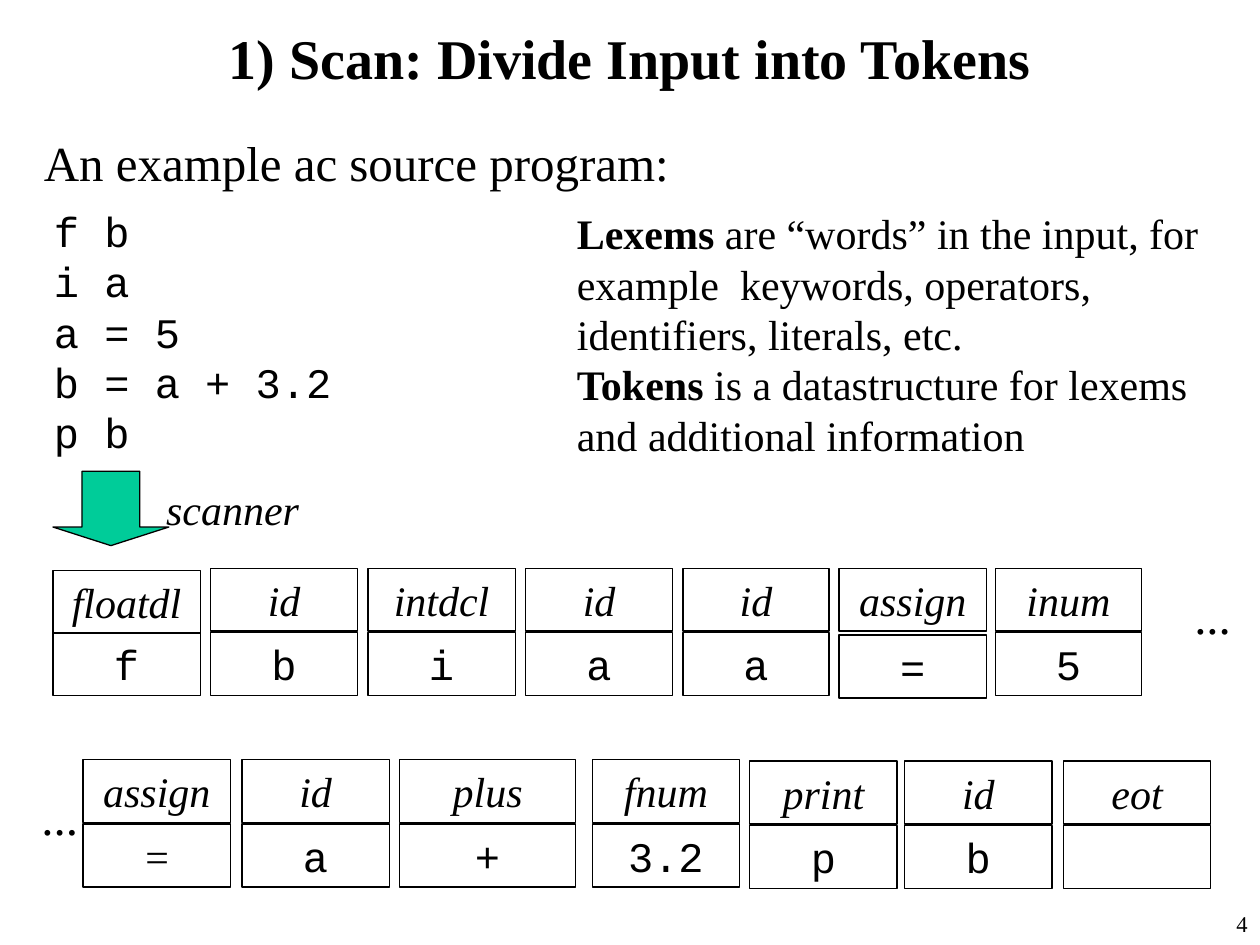
from pptx import Presentation
from pptx.dml.color import RGBColor
from pptx.enum.shapes import MSO_SHAPE
from pptx.enum.text import MSO_ANCHOR, PP_ALIGN
from pptx.util import Inches, Pt

SERIF = "Times New Roman"
MONO = "Courier New"
BLACK = "000000"


def color(value):
    return RGBColor.from_string(value)


def write(shape, text, size=24, font=SERIF, bold=False, italic=False, bold_lead=False,
          align=PP_ALIGN.LEFT, anchor=MSO_ANCHOR.TOP, wrap=True):
    """Write one paragraph per line; bold_lead makes each first word bold."""
    frame = shape.text_frame
    frame.word_wrap = wrap
    frame.vertical_anchor = anchor
    for index, line in enumerate(text.split("\n")):
        paragraph = frame.paragraphs[0] if index == 0 else frame.add_paragraph()
        paragraph.alignment = align
        pieces = [(line, bold)]
        if bold_lead:
            lead, space, rest = line.partition(" ")
            pieces = [(lead, True), (space + rest, False)]
        for piece, is_bold in pieces:
            run = paragraph.add_run()
            run.text = piece
            run.font.size = Pt(size)
            run.font.name = font
            run.font.bold = is_bold
            run.font.italic = italic
            run.font.color.rgb = color(BLACK)


presentation = Presentation()
presentation.slide_width = Inches(10)
presentation.slide_height = Inches(7.5)
slide = presentation.slides.add_slide(presentation.slide_layouts[5])

# Title
title = slide.shapes.title
title.left, title.top = Inches(0.25), Inches(0.08)
title.width, title.height = Inches(9.5), Inches(0.75)
write(title, "1) Scan: Divide Input into Tokens", size=32, bold=True,
      align=PP_ALIGN.CENTER, anchor=MSO_ANCHOR.MIDDLE)

# Plain texts: left, top, width, height, text, format
definitions = (
    "Lexems are “words” in the input, for example  keywords, operators, "
    "identifiers, literals, etc.\n"
    "Tokens is a datastructure for lexems and additional information"
)
texts = [
    (0.25, 1, 9.42, 0.58, "An example ac source program:", {"size": 28}),
    (0.33, 1.58, 3.92, 2.5, "f b\ni a\na = 5\nb = a + 3.2\np b", {"font": MONO}),
    (4.48, 1.6, 5.19, 2.1, definitions, {"bold_lead": True}),
    (1.22, 3.79, 1.35, 0.5, "scanner", {"italic": True}),
    (9.38, 4.6, 0.49, 0.57, "...", {"size": 28, "wrap": False}),
    (0.23, 6.19, 0.49, 0.57, "...", {"size": 28, "wrap": False}),
    (9.25, 7.17, 0.75, 0.33, "4", {"size": 12.9, "align": PP_ALIGN.RIGHT}),
]
for left, top, width, height, text, text_format in texts:
    box = slide.shapes.add_textbox(Inches(left), Inches(top), Inches(width), Inches(height))
    write(box, text, **text_format)

# Scanner arrow
arrow = slide.shapes.add_shape(MSO_SHAPE.DOWN_ARROW, Inches(0.42), Inches(3.74),
                               Inches(0.92), Inches(0.59))
arrow.adjustments[0] = 0.5
arrow.adjustments[1] = 0.25
arrow.shadow.inherit = False
arrow.fill.solid()
arrow.fill.fore_color.rgb = color("00CC99")
arrow.line.color.rgb = color(BLACK)
arrow.line.width = Pt(0.75)

# Tokens: left, width, top of kind cell, top of lexeme cell, kind, lexeme
tokens = [
    (0.42, 1.17, 4.53, 5.02, "floatdl", "f"),
    (1.67, 1.17, 4.51, 5.02, "id", "b"),
    (2.92, 1.17, 4.51, 5.02, "intdcl", "i"),
    (4.17, 1.17, 4.51, 5.02, "id", "a"),
    (5.42, 1.16, 4.51, 5.02, "id", "a"),
    (6.66, 1.17, 4.51, 5.04, "assign", "="),
    (7.9, 1.16, 4.51, 5.02, "inum", "5"),
    (0.66, 1.17, 6.03, 6.54, "assign", "="),
    (1.92, 1.17, 6.03, 6.54, "id", "a"),
    (3.17, 1.4, 6.03, 6.54, "plus", "+"),
    (4.7, 1.17, 6.03, 6.54, "fnum", "3.2"),
    (5.95, 1.17, 6.04, 6.55, "print", "p"),
    (7.18, 1.17, 6.04, 6.55, "id", "b"),
    (8.44, 1.17, 6.04, 6.55, "eot", ""),
]
for left, width, kind_top, lexeme_top, kind, lexeme in tokens:
    # The second assign token sets its lexeme like its kind
    serif_lexeme = kind == "assign" and kind_top > 6
    for top, text, is_serif in [(kind_top, kind, True), (lexeme_top, lexeme, serif_lexeme)]:
        cell = slide.shapes.add_shape(MSO_SHAPE.RECTANGLE, Inches(left), Inches(top),
                                      Inches(width), Inches(0.5))
        cell.shadow.inherit = False
        cell.fill.background()
        cell.line.color.rgb = color(BLACK)
        cell.line.width = Pt(0.75)
        if text:
            write(cell, text, font=SERIF if is_serif else MONO, italic=is_serif,
                  align=PP_ALIGN.CENTER)

presentation.save("out.pptx")
